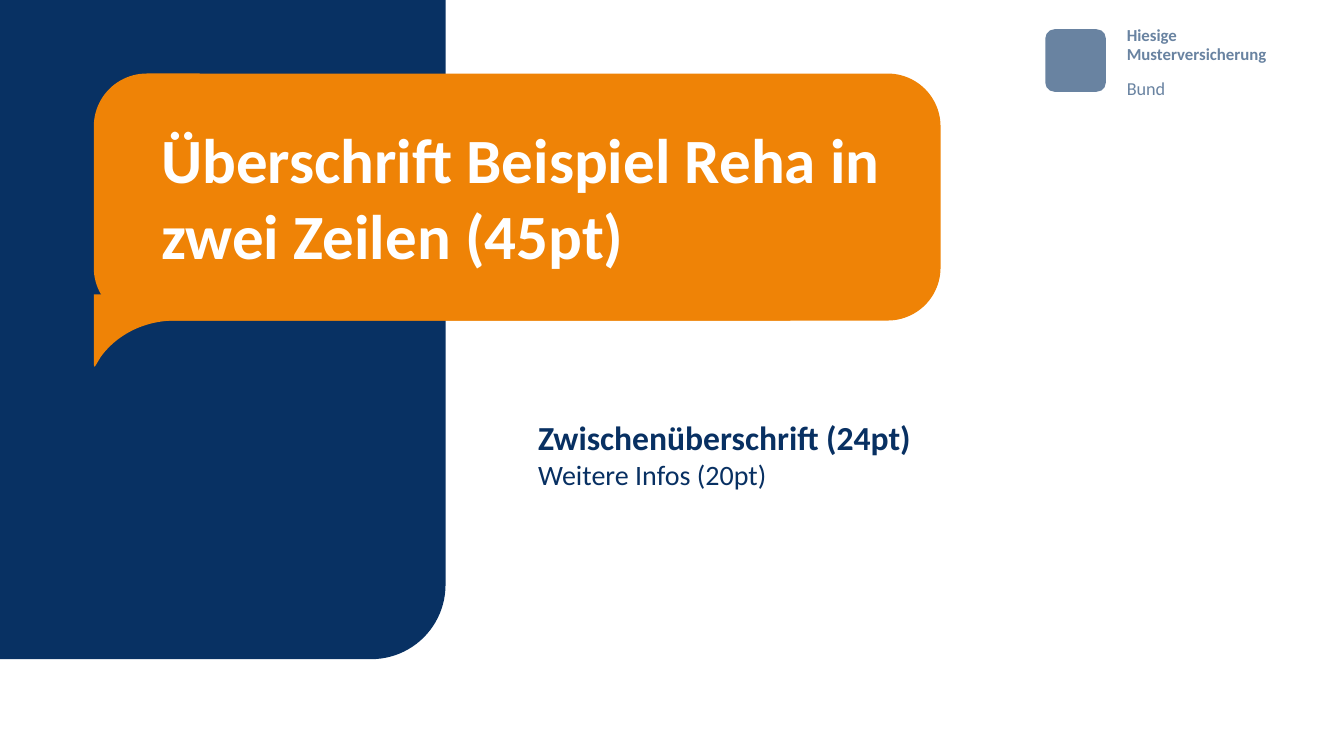
from pptx import Presentation
from pptx.dml.color import RGBColor as Rgb
from pptx.enum.shapes import MSO_SHAPE as Kind
from pptx.util import Inches, Pt

WIDE, HIGH = Inches(13.33), Inches(7.5)
# Grid of 100 columns by 100 rows
COL, ROW = WIDE / 100, HIGH / 100
FONT = "Calibri"
HUES = {
    "navy": "083163",
    "ink": "083062",
    "orange": "EF8306",
    "slate": "6983A1",
    "white": "FFFFFF",
}


def hue(name):
    return Rgb.from_string(HUES[name])


def grid(x, y, w, h):
    return round(x * COL), round(y * ROW), round(w * COL), round(h * ROW)


def paint(shape, color):
    shape.shadow.inherit = False
    shape.fill.solid()
    shape.fill.fore_color.rgb = hue(color)
    shape.line.fill.background()


def block(slide, kind, box, color, bend):
    shape = slide.shapes.add_shape(kind, *grid(*box))
    shape.adjustments[0] = bend
    paint(shape, color)
    return shape


def turn(shape):
    """Turn a shape by 90 degrees and keep the area it covers."""
    x, y, w, h = shape.left, shape.top, shape.width, shape.height
    shape.left, shape.top = x + (w - h) // 2, y + (h - w) // 2
    shape.width, shape.height = h, w
    shape.rotation = 90


def curve(a, b, c, d, steps=24):
    """Points of a cubic curve after its start point."""
    for i in range(1, steps + 1):
        t = i / steps
        u = 1 - t
        yield tuple(
            u**3 * p + 3 * u * u * t * q + 3 * u * t * t * r + t**3 * s
            for p, q, r, s in zip(a, b, c, d)
        )


def outline(slide, points, color):
    spots = [(round(x * COL), round(y * ROW)) for x, y in points]
    pen = slide.shapes.build_freeform(*spots[0], scale=1.0)
    pen.add_line_segments(spots[1:], close=True)
    paint(pen.convert_to_shape(), color)


def text(slide, box, lines, color, lead=None):
    """Each line is a tuple of words, size and bold."""
    frame = slide.shapes.add_textbox(*grid(*box)).text_frame
    frame.word_wrap = True
    for i, (words, size, bold) in enumerate(lines):
        para = frame.add_paragraph() if i else frame.paragraphs[0]
        if lead:
            para.line_spacing = Pt(lead)
        run = para.add_run()
        run.text = words
        run.font.name = FONT
        run.font.size = Pt(size)
        run.font.bold = bold
        run.font.color.rgb = hue(color)


def main():
    deck = Presentation()
    deck.slide_width, deck.slide_height = WIDE, HIGH
    slide = deck.slides.add_slide(deck.slide_layouts[6])

    # Sender
    block(slide, Kind.ROUNDED_RECTANGLE, (77.78, 3.87, 4.5, 8.27), "slate", 0.15)
    text(slide, (83.1, 2.93, 13.5, 6.27),
         [("Hiesige", 12, True), ("Musterversicherung", 12, True)], "slate", 13)
    text(slide, (83.1, 8.53, 4.73, 4.8), [("Bund", 13, False)], "slate", 21)

    # Side panel
    turn(block(slide, Kind.ROUND_1_RECTANGLE, (0, 0, 33.15, 87.2), "navy", 0.167))

    # Speech bubble with its tail
    block(slide, Kind.ROUNDED_RECTANGLE, (6.98, 9.73, 63, 32.67), "orange", 0.214)
    bend = curve((13.05, 42.4), (10.73, 42.4), (8.7, 44.27), (7.5, 47.2))
    outline(slide, [(6.98, 38.93), (58.8, 38.93), (58.8, 42.4), (13.05, 42.4),
                    *bend, (7.05, 48.53), (6.98, 48.27)], "orange")

    # Headings
    text(slide, (11.25, 15.33, 57.75, 19.33),
         [("Überschrift Beispiel Reha in zwei Zeilen (45pt)", 45, True)], "white")
    text(slide, (39.3, 54.53, 53.4, 11.2),
         [("Zwischenüberschrift (24pt)", 24, True),
          ("Weitere Infos (20pt)", 20, False)], "ink")

    deck.save("out.pptx")


if __name__ == "__main__":
    main()
